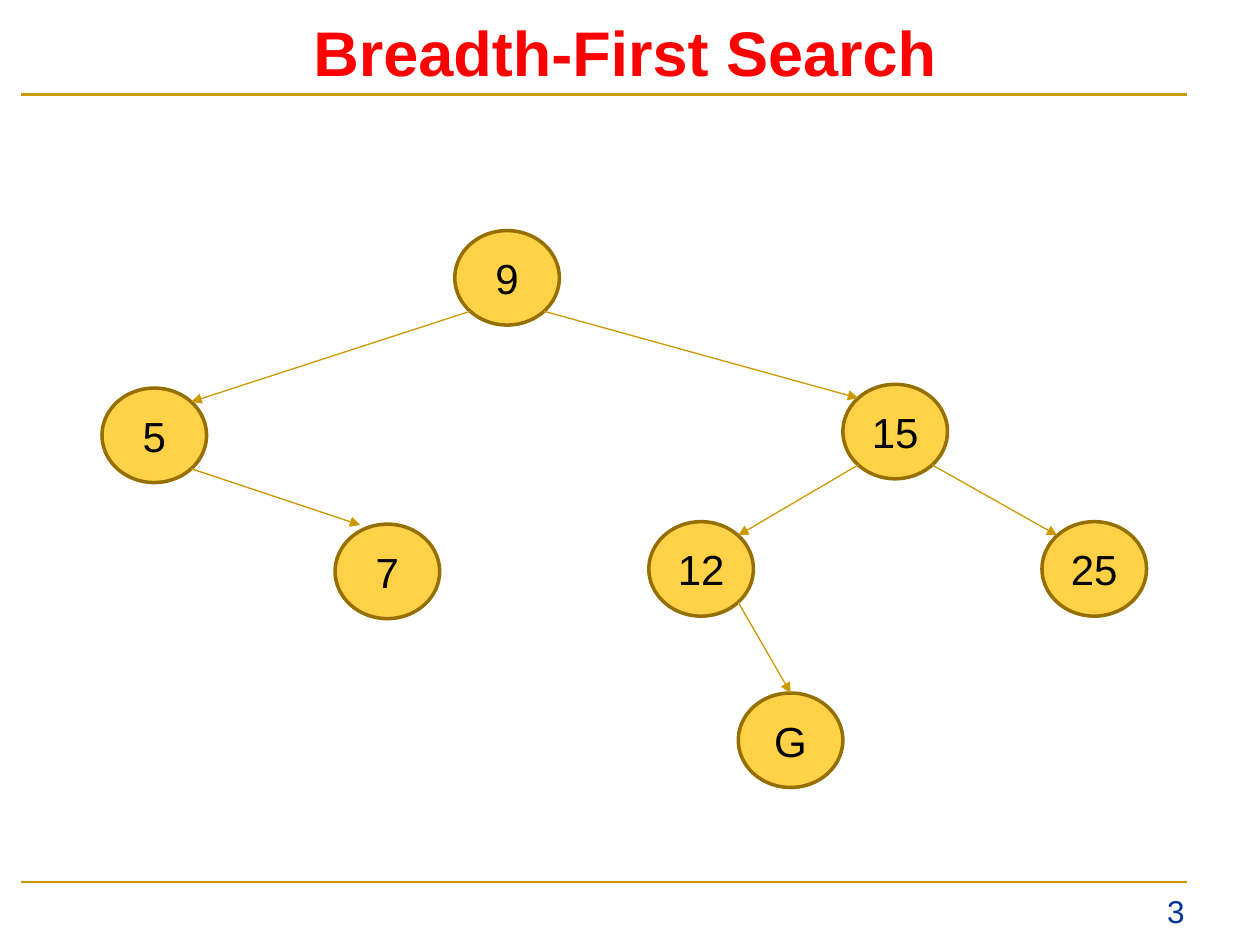
from lxml.etree import SubElement
from pptx import Presentation
from pptx.dml.color import RGBColor
from pptx.enum.shapes import MSO_CONNECTOR, MSO_SHAPE
from pptx.enum.text import MSO_ANCHOR, PP_ALIGN
from pptx.oxml.ns import qn
from pptx.util import Inches, Pt

COLORS = {
    "title": "FF0000",
    "rule": "CC9900",
    "edge": "CC9800",
    "node": "FFD147",
    "outline": "956F00",
    "label": "000000",
    "number": "003399",
}
TITLE_FONT = {"name": "Arial", "size": Pt(36), "bold": True}
NODE_FONT = {"name": "Arial", "size": Pt(24), "bold": False}
NUMBER_FONT = {"name": "Arial", "size": Pt(18), "bold": False}

NODE_W, NODE_H = 0.83, 0.75
# Node label: left, top relative to the tree box
NODES = {
    "9": (2.8, 0),
    "5": (0, 1.25),
    "15": (5.88, 1.22),
    "7": (1.85, 2.33),
    "12": (4.34, 2.31),
    "25": (7.46, 2.31),
    "G": (5.05, 3.67),
}
# Attachment points as fractions of a node's width and height
NEAR, FAR = 0.146, 0.854
ANCHORS = {
    "top": (0.5, 0),
    "upper left": (NEAR, NEAR),
    "upper right": (FAR, NEAR),
    "lower left": (NEAR, FAR),
    "lower right": (FAR, FAR),
    "near top": (0.24, 0.01),
}
EDGES = [
    ("9", "lower left", "5", "upper right"),
    ("9", "lower right", "15", "upper left"),
    ("5", "lower right", "7", "near top"),
    ("15", "lower left", "12", "upper right"),
    ("15", "lower right", "25", "upper left"),
    ("12", "lower right", "G", "top"),
]


def rgb(key):
    return RGBColor.from_string(COLORS[key])


def write(frame, text, font, color, align, anchor=MSO_ANCHOR.TOP):
    frame.word_wrap = True
    frame.vertical_anchor = anchor
    paragraph = frame.paragraphs[0]
    paragraph.alignment = align
    run = paragraph.add_run()
    run.text = text
    for attribute, value in font.items():
        setattr(run.font, attribute, value)
    run.font.color.rgb = rgb(color)


def add_line(slide, start, end, color, width, arrow=False):
    points = [Inches(value) for value in (*start, *end)]
    connector = slide.shapes.add_connector(MSO_CONNECTOR.STRAIGHT, *points)
    connector.line.color.rgb = rgb(color)
    connector.line.width = Pt(width)
    if arrow:
        SubElement(connector.line._get_or_add_ln(), qn("a:tailEnd"), type="triangle")
    SubElement(connector._element.spPr, qn("a:effectLst"))


def add_header(slide, left, top, width, height):
    title = slide.shapes.add_textbox(
        Inches(left), Inches(top), Inches(width), Inches(height))
    write(title.text_frame, "Breadth-First Search", TITLE_FONT, "title", PP_ALIGN.CENTER)
    rule_y = top + 0.69
    add_line(slide, (left + 0.17, rule_y), (left + 9.42, rule_y), "rule", 2.25)


def add_footer(slide, left, top, width, height):
    add_line(slide, (left, top), (left + width, top), "rule", 1.5)
    number = slide.shapes.add_textbox(
        Inches(left + 7.5), Inches(top + 0.03), Inches(1.83), Inches(height))
    write(number.text_frame, "3", NUMBER_FONT, "number", PP_ALIGN.RIGHT)


def add_tree(slide, left, top):
    def attach(label, anchor):
        x, y = NODES[label]
        across, down = ANCHORS[anchor]
        return left + x + across * NODE_W, top + y + down * NODE_H

    # Nodes
    for label, (x, y) in NODES.items():
        node = slide.shapes.add_shape(
            MSO_SHAPE.OVAL, Inches(left + x), Inches(top + y),
            Inches(NODE_W), Inches(NODE_H))
        node.shadow.inherit = False
        node.fill.solid()
        node.fill.fore_color.rgb = rgb("node")
        node.line.color.rgb = rgb("outline")
        node.line.width = Pt(2)
        write(node.text_frame, label, NODE_FONT, "label",
              PP_ALIGN.CENTER, MSO_ANCHOR.MIDDLE)

    # Arrows from parent to child
    for parent, leave, child, enter in EDGES:
        add_line(slide, attach(parent, leave), attach(child, enter),
                 "edge", 0.75, arrow=True)


def main():
    presentation = Presentation()
    presentation.slide_width = Inches(10)
    presentation.slide_height = Inches(7.5)
    slide = presentation.slides.add_slide(presentation.slide_layouts[6])
    add_footer(slide, 0.17, 7, 9.25, 0.4)
    add_header(slide, 0, 0.06, 9.92, 0.7)
    add_tree(slide, 0.81, 1.83)
    presentation.save("out.pptx")


if __name__ == "__main__":
    main()
